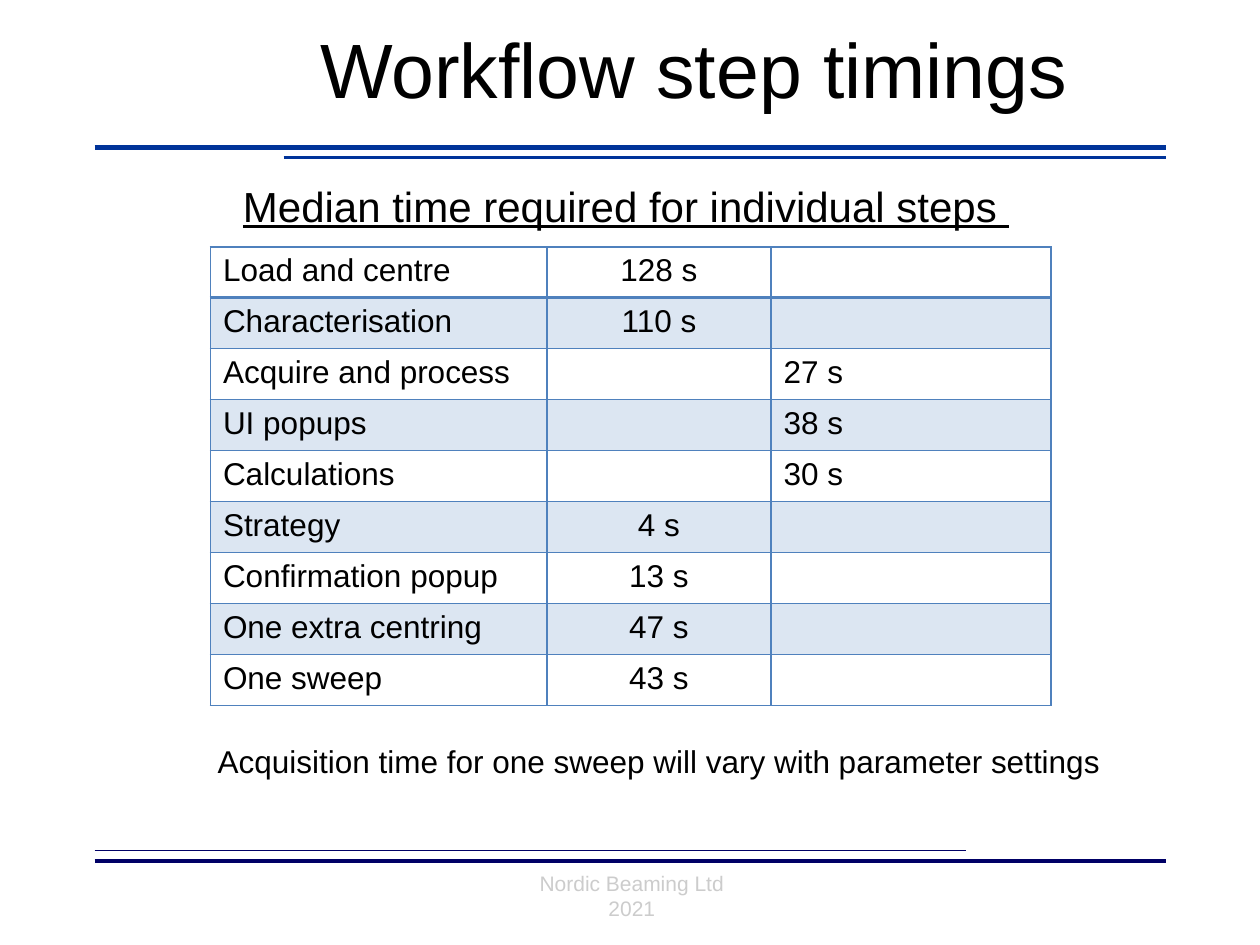
from lxml import etree
from pptx import Presentation
from pptx import util as u
from pptx.dml.color import RGBColor
from pptx.enum import shapes, text
from pptx.oxml.ns import qn

INK = {"text": "000000", "pale": "CCCCCC", "blue": "003399", "navy": "000066",
       "grid": "4F81BD", "band": "DCE6F2", "white": "FFFFFF"}
ALIGN = {"l": text.PP_ALIGN.LEFT, "c": text.PP_ALIGN.CENTER}


def rgb(name):
    return RGBColor.from_string(INK[name])


def write(frame, words, size=18, ink="text", align="l", line=False, space=None):
    for n, part in enumerate(words.split("\n")):
        para = frame.add_paragraph() if n else frame.paragraphs[0]
        para.alignment = ALIGN[align]
        if space:
            para.line_spacing = space
        run = para.add_run()
        run.text = part
        font = run.font
        font.name, font.size, font.color.rgb = "Arial", u.Pt(size), rgb(ink)
        if line:
            font.underline = True


def edge(cell, side, width):
    props = cell._tc.get_or_add_tcPr()
    mark = etree.SubElement(props, qn("a:ln" + side), w=str(u.Pt(width)))
    fill = etree.SubElement(mark, qn("a:solidFill"))
    etree.SubElement(fill, qn("a:srgbClr"), val=INK["grid"])


class Deck:
    """Hold the style and the current slide."""

    def __init__(self):
        self.file = Presentation()
        self.file.slide_width, self.file.slide_height = u.Inches(10), u.Inches(7.5)
        self.slide = self.file.slides.add_slide(self.file.slide_layouts[6])

    def rule(self, left, right, y, ink, width):
        bar = self.slide.shapes.add_connector(
            shapes.MSO_CONNECTOR.STRAIGHT,
            u.Inches(left), u.Inches(y), u.Inches(right), u.Inches(y))
        bar.line.color.rgb, bar.line.width = rgb(ink), u.Pt(width)
        etree.SubElement(bar._element.spPr, qn("a:effectLst"))

    def label(self, words, box, pad=True, middle=False, **style):
        frame = self.slide.shapes.add_textbox(*map(u.Inches, box)).text_frame
        frame.word_wrap = True
        if not pad:
            frame.margin_left = frame.margin_right = 0
            frame.margin_top = frame.margin_bottom = 0
        if middle:
            frame.vertical_anchor = text.MSO_ANCHOR.MIDDLE
        write(frame, words, **style)

    def table(self, rows, box, cols, head, step):
        grid = self.slide.shapes.add_table(
            len(rows), len(cols), *map(u.Inches, box)).table
        grid.first_row = grid.horz_banding = False
        for col, width in zip(grid.columns, cols):
            col.width = u.Inches(width)
        for r, row in enumerate(rows):
            grid.rows[r].height = u.Inches(step if r else head)
            for c, words in enumerate(row):
                cell = grid.cell(r, c)
                for side in "LRTB":
                    thick = (r, side) in ((0, "B"), (1, "T"))
                    edge(cell, side, 2 if thick else 1)
                cell.fill.solid()
                cell.fill.fore_color.rgb = rgb("band" if r % 2 else "white")
                if words:
                    write(cell.text_frame, words, align="c" if c == 1 else "l")


def main():
    deck = Deck()
    for rule in ((0.75, 9.25, 1.17, "blue", 3), (0.75, 9.25, 6.83, "navy", 2.25),
                 (2.25, 9.25, 1.25, "blue", 1.5), (0.75, 7.67, 6.75, "navy", 0.75)):
        deck.rule(*rule)
    deck.label("Nordic Beaming Ltd\n2021", (2.95, 6.91, 4.13, 0.52), pad=False,
               size=12, ink="pale", align="c")
    deck.label("Workflow step timings", (2.54, 0.29, 7.25, 0.58), pad=False,
               middle=True, size=44, space=0.9)
    rows = [("Load and centre", "128 s", ""), ("Characterisation", "110 s", ""),
            ("Acquire and process", "", "27 s"), ("UI popups", "", "38 s"),
            ("Calculations", "", "30 s"), ("Strategy", "4 s", ""),
            ("Confirmation popup", "13 s", ""), ("One extra centring", "47 s", ""),
            ("One sweep", "43 s", "")]
    deck.table(rows, (1.67, 1.96, 6.67, 3.64), (2.67, 1.78, 2.22), 0.38, 0.405)
    deck.label("Median time required for individual steps ", (1.83, 1.38, 6.34, 0.5),
               size=24, line=True)
    deck.label("Acquisition time for one sweep will vary with parameter settings",
               (1.63, 5.84, 7.27, 0.4))
    deck.file.save("out.pptx")


if __name__ == "__main__":
    main()
